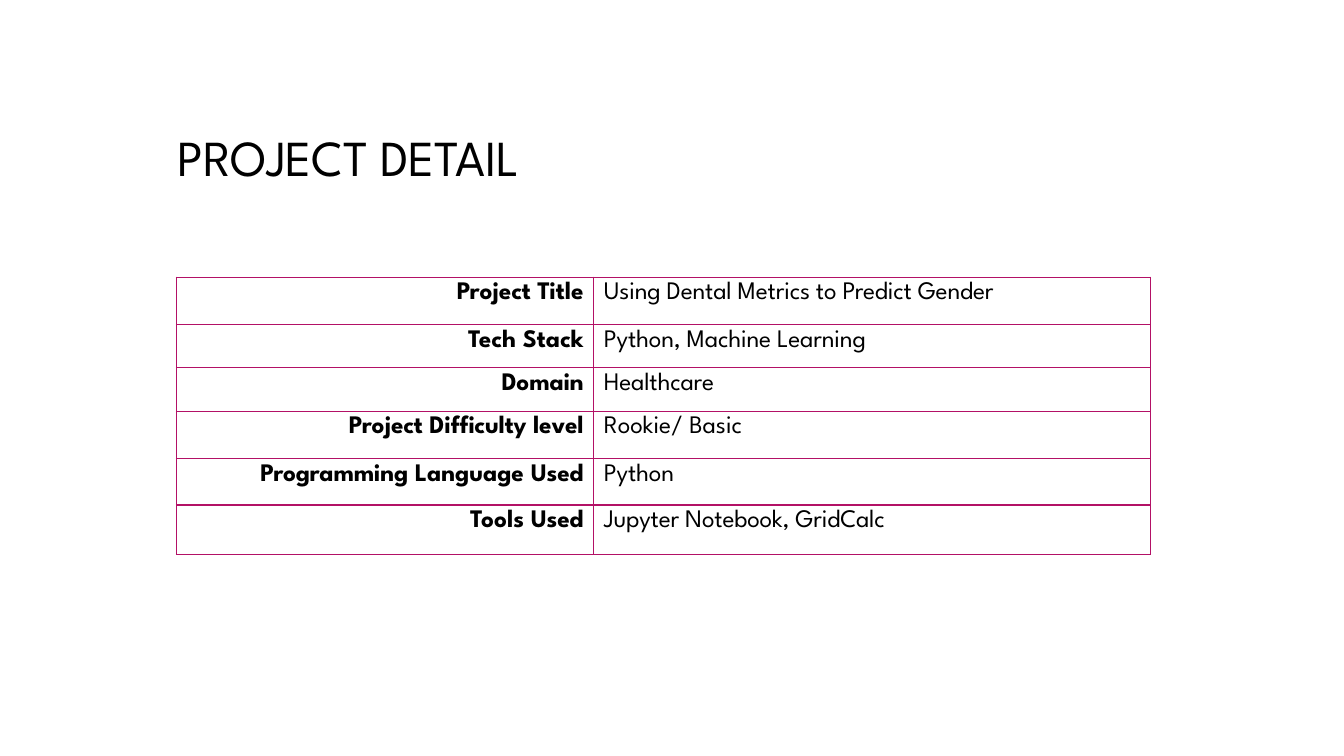
from lxml.etree import SubElement
from pptx import Presentation
from pptx.dml.color import RGBColor
from pptx.enum.text import PP_ALIGN
from pptx.oxml.ns import qn
from pptx.util import Inches, Pt

BLACK = RGBColor(0, 0, 0)
MAGENTA = RGBColor(0xB3, 0x11, 0x66)
FONT = "League Spartan"
TIGHT = -10  # hundredths of a point between letters

# Row height, label runs, value runs; each run is (text, letter spacing)
ROWS = [
    (0.47, [("Project ", TIGHT), ("Title", 0)],
     [("Using Dental Metrics to Predict Gender", TIGHT)]),
    (0.43, [("Tech Stack", 0)], [("Python, Machine Learning", TIGHT)]),
    (0.43, [("Domain", TIGHT)], [("Healthcare", TIGHT)]),
    (0.47, [("Project Difficulty level", TIGHT)], [("Rookie/ Basic", 0)]),
    (0.46, [("Programming ", TIGHT), ("Language ", 0), ("Used", TIGHT)],
     [("Python", TIGHT)]),
    (0.49, [("Tools ", 0), ("Used", TIGHT)],
     [("Jupyter Notebook, GridCalc", TIGHT)]),
]
COLS = [4.14, 5.52]


def add_runs(para, runs, size, bold=False):
    for text, gap in runs:
        run = para.add_run()
        run.text = text
        font = run.font
        font.name, font.size, font.bold = FONT, Pt(size), bold
        font.color.rgb = BLACK
        run._r.get_or_add_rPr().set("spc", str(gap))


def set_margins(box, left, top, right):
    box.margin_left, box.margin_top = Inches(left), Inches(top)
    box.margin_right, box.margin_bottom = Inches(right), 0


def add_title(slide, text):
    box = slide.shapes.add_textbox(
        Inches(1.75), Inches(1.24), Inches(3.89), Inches(0.63))
    frame = box.text_frame
    frame.word_wrap = True
    set_margins(frame, 0.01, 0.01, 0)
    add_runs(frame.paragraphs[0], [(text, TIGHT)], 36)


def add_borders(cell):
    props = cell._tc.get_or_add_tcPr()
    for spot, side in enumerate(("lnL", "lnR", "lnT", "lnB")):
        line = props.makeelement(qn(f"a:{side}"), {"w": str(Pt(1))})
        fill = SubElement(line, qn("a:solidFill"))
        SubElement(fill, qn("a:srgbClr"), val=str(MAGENTA))
        props.insert(spot, line)


def fill_cell(cell, runs, label):
    cell.fill.background()
    add_borders(cell)
    set_margins(cell, 0 if label else 0.1, 0.05, 0.1 if label else 0)
    para = cell.text_frame.paragraphs[0]
    para.alignment = PP_ALIGN.RIGHT if label else PP_ALIGN.LEFT
    add_runs(para, runs, 18, bold=label)


def add_details(slide):
    height = sum(row[0] for row in ROWS)
    table = slide.shapes.add_table(
        len(ROWS), len(COLS), Inches(1.75), Inches(2.75),
        Inches(sum(COLS)), Inches(height)).table
    table.first_row = table.horz_banding = False
    for col, width in zip(table.columns, COLS):
        col.width = Inches(width)
    for i, (tall, label, value) in enumerate(ROWS):
        table.rows[i].height = Inches(tall)
        fill_cell(table.cell(i, 0), label, True)
        fill_cell(table.cell(i, 1), value, False)


def main():
    deck = Presentation()
    deck.slide_width, deck.slide_height = Inches(13.33), Inches(7.5)
    slide = deck.slides.add_slide(deck.slide_layouts[6])
    add_title(slide, "PROJECT DETAIL")
    add_details(slide)
    deck.save("out.pptx")


if __name__ == "__main__":
    main()
